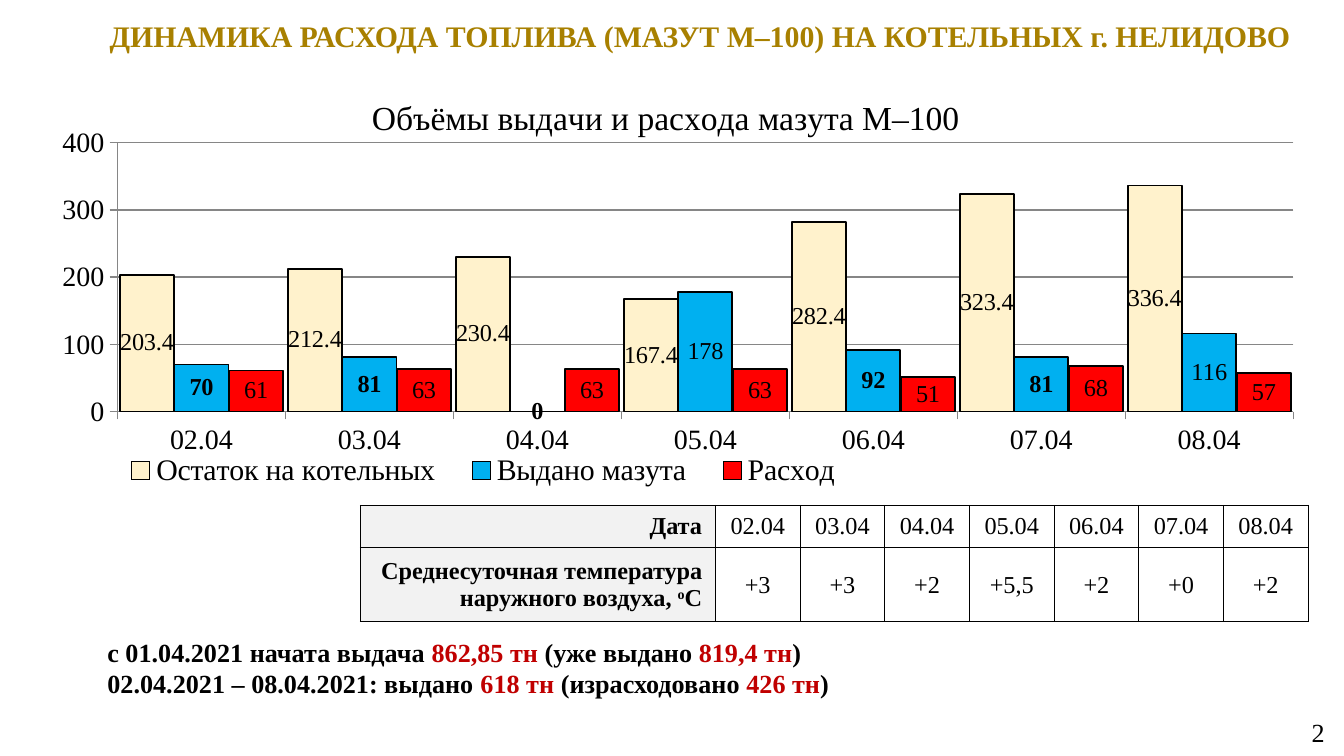
"""Build the slide on fuel oil deliveries and consumption."""
from dataclasses import dataclass

from lxml.etree import SubElement
from pptx import Presentation
from pptx.chart.data import CategoryChartData
from pptx.dml.color import RGBColor
from pptx.enum.chart import XL_CHART_TYPE, XL_LABEL_POSITION, XL_LEGEND_POSITION, XL_TICK_MARK
from pptx.enum.text import MSO_ANCHOR, PP_ALIGN
from pptx.oxml import parse_xml
from pptx.oxml.ns import nsdecls, qn
from pptx.util import Cm, Pt


@dataclass(frozen=True)
class Theme:
    """Font, colours and type sizes."""
    font: str = "Times New Roman"
    gold: str = "A88000"
    ink: str = "000000"
    accent: str = "C00000"
    grid: str = "868686"
    head: str = "F2F2F2"
    title: int = 16
    body: int = 14
    label: int = 13
    axis: int = 15
    legend: int = 16
    chart_title: int = 18


T = Theme()
TITLE = "ДИНАМИКА РАСХОДА ТОПЛИВА (МАЗУТ М–100) НА КОТЕЛЬНЫХ г. НЕЛИДОВО"
CHART_TITLE = "Объёмы выдачи и расхода мазута М–100"
DATES = ["02.04", "03.04", "04.04", "05.04", "06.04", "07.04", "08.04"]
SERIES = [
    ("Остаток на котельных", "FFF2CC", [203.4, 212.4, 230.4, 167.4, 282.4, 323.4, 336.4], []),
    ("Выдано мазута", "00B0F0", [70, 81, 0, 178, 92, 81, 116], [0, 1, 2, 4, 5]),
    ("Расход", "FF0000", [61, 63, 63, 63, 51, 68, 57], []),
]
TEMPERATURES = ["+3", "+3", "+2", "+5,5", "+2", "+0", "+2"]
TABLE = [
    ([[("Дата", 0)]], DATES),
    ([[("Среднесуточная температура", 0)],
      [("наружного воздуха, ", 0), ("о", 30), ("С", 0)]], TEMPERATURES),
]
ROW_HEIGHTS = [0.79, 1.4]
HEAD_WIDTH, DATE_WIDTH = 6.71, 1.6
SUMMARY = [
    [("с 01.04.2021 начата выдача ", T.ink), ("862,85 тн ", T.accent),
     ("(уже выдано ", T.ink), ("819,4 тн", T.accent), (")", T.ink)],
    [("02.04.2021 – 08.04.2021: выдано ", T.ink), ("618 тн ", T.accent),
     ("(израсходовано ", T.ink), ("426 тн", T.accent), (")", T.ink)],
]


def style(font, size, color=T.ink, bold=False):
    font.name, font.size, font.bold = T.font, Pt(size), bold
    font.color.rgb = RGBColor.from_string(color)


def add_run(p, text, size, color=T.ink, bold=False):
    r = p.add_run()
    r.text = text
    style(r.font, size, color, bold)
    return r


def paragraphs(tf, count):
    return [tf.paragraphs[0]] + [tf.add_paragraph() for _ in range(count - 1)]


def text_box(s, *box):
    tf = s.shapes.add_textbox(*map(Cm, box)).text_frame
    tf.word_wrap = True
    tf.vertical_anchor = MSO_ANCHOR.MIDDLE
    return tf


def set_line(line, color, width):
    line.color.rgb = RGBColor.from_string(color)
    line.width = Pt(width)


def place(part, inner=False, **fractions):
    for old in part.findall(qn("c:layout")):
        part.remove(old)
    layout = parse_xml(f"<c:layout {nsdecls('c')}><c:manualLayout/></c:layout>")
    values = {"layoutTarget": "inner"} if inner else {}
    values.update({"xMode": "edge", "yMode": "edge"}, **fractions)
    for tag, value in values.items():
        SubElement(layout[0], qn(f"c:{tag}")).set("val", str(value))
    overlay = part.find(qn("c:overlay"))
    part.insert(0 if overlay is None else part.index(overlay), layout)


def add_chart(s):
    data = CategoryChartData()
    data.categories = DATES
    for name, _, values, _ in SERIES:
        data.add_series(name, values)
    box = map(Cm, (0, 1.55, 24.69, 8.2))
    chart = s.shapes.add_chart(XL_CHART_TYPE.COLUMN_CLUSTERED, *box, data).chart
    style(chart.font, T.legend)
    p = chart.chart_title.text_frame.paragraphs[0]
    add_run(p, CHART_TITLE, T.chart_title)
    chart.has_legend = True
    chart.legend.position = XL_LEGEND_POSITION.BOTTOM
    chart.legend.include_in_layout = False
    style(chart.legend.font, T.legend)

    for axis in (chart.category_axis, chart.value_axis):
        style(axis.tick_labels.font, T.axis)
        axis.major_tick_mark = XL_TICK_MARK.OUTSIDE
        set_line(axis.format.line, T.grid, 0.75)
    axis.minimum_scale, axis.maximum_scale, axis.major_unit = 0, 400, 100
    set_line(axis.major_gridlines.format.line, T.grid, 0.75)

    plot = chart.plots[0]
    plot.gap_width, plot.overlap, plot.vary_by_categories = 9, -1, False
    for series, (_, color, _, bold_points) in zip(plot.series, SERIES):
        series.format.fill.solid()
        series.format.fill.fore_color.rgb = RGBColor.from_string(color)
        set_line(series.format.line, T.ink, 1)
        labels = series.data_labels
        labels.show_value = True
        labels.position = XL_LABEL_POSITION.CENTER
        style(labels.font, T.label)
        for i in bold_points:
            label = series.points[i].data_label
            style(label.font, T.label, bold=True)
            label.position = XL_LABEL_POSITION.CENTER

    title, plot_area, legend = (chart.element.find(".//" + qn(tag))
                                for tag in ("c:title", "c:plotArea", "c:legend"))
    title.find(qn("c:overlay")).set("val", "1")
    place(title, x=0.28, y=0.02)
    place(plot_area, inner=True, x=0.09, y=0.14, w=0.9, h=0.62)
    place(legend, x=0.08, y=0.85, w=0.58, h=0.09)


def add_borders(cell):
    props = cell._tc.get_or_add_tcPr()
    for i, side in enumerate(("lnL", "lnR", "lnT", "lnB")):
        props.insert(i, parse_xml(
            f'<a:{side} {nsdecls("a")} w="6350"><a:solidFill>'
            f'<a:srgbClr val="{T.ink}"/></a:solidFill></a:{side}>'))


def add_table(s):
    widths = [HEAD_WIDTH] + [DATE_WIDTH] * len(DATES)
    table = s.shapes.add_table(len(TABLE), len(widths), Cm(6.81), Cm(9.55),
                               Cm(sum(widths)), Cm(sum(ROW_HEIGHTS))).table
    table.first_row = table.horz_banding = False
    for column, width in zip(table.columns, widths):
        column.width = Cm(width)
    for row, height, (head, values) in zip(table.rows, ROW_HEIGHTS, TABLE):
        row.height = Cm(height)
        contents = [head] + [[[(value, 0)]] for value in values]
        for i, (cell, lines) in enumerate(zip(row.cells, contents)):
            is_head = i == 0
            cell.vertical_anchor = MSO_ANCHOR.MIDDLE
            if is_head:
                cell.fill.solid()
                cell.fill.fore_color.rgb = RGBColor.from_string(T.head)
            else:
                cell.fill.background()
            add_borders(cell)
            for p, runs in zip(paragraphs(cell.text_frame, len(lines)), lines):
                p.alignment = PP_ALIGN.RIGHT if is_head else PP_ALIGN.CENTER
                for text, raised in runs:
                    r = add_run(p, text, T.label, bold=is_head)
                    if raised:
                        r.font._element.set("baseline", str(raised * 1000))


def main():
    prs = Presentation()
    prs.slide_width, prs.slide_height = Cm(25.4), Cm(14.29)
    s = prs.slides.add_slide(prs.slide_layouts[5])

    title = s.shapes.title
    title.left, title.top, title.width, title.height = map(Cm, (1.78, 0.2, 22.91, 0.94))
    p = title.text_frame.paragraphs[0]
    p.alignment = PP_ALIGN.CENTER
    add_run(p, TITLE, T.title, T.gold, bold=True)

    tf = text_box(s, 1.78, 11.89, 16, 1.45)
    for p, runs in zip(paragraphs(tf, len(SUMMARY)), SUMMARY):
        for text, color in runs:
            add_run(p, text, T.body, color, bold=True)

    add_chart(s)
    add_table(s)

    p = text_box(s, 24.54, 13.46, 0.71, 0.76).paragraphs[0]
    p.alignment = PP_ALIGN.RIGHT
    add_run(p, "2", T.body)
    prs.save("out.pptx")


if __name__ == "__main__":
    main()
